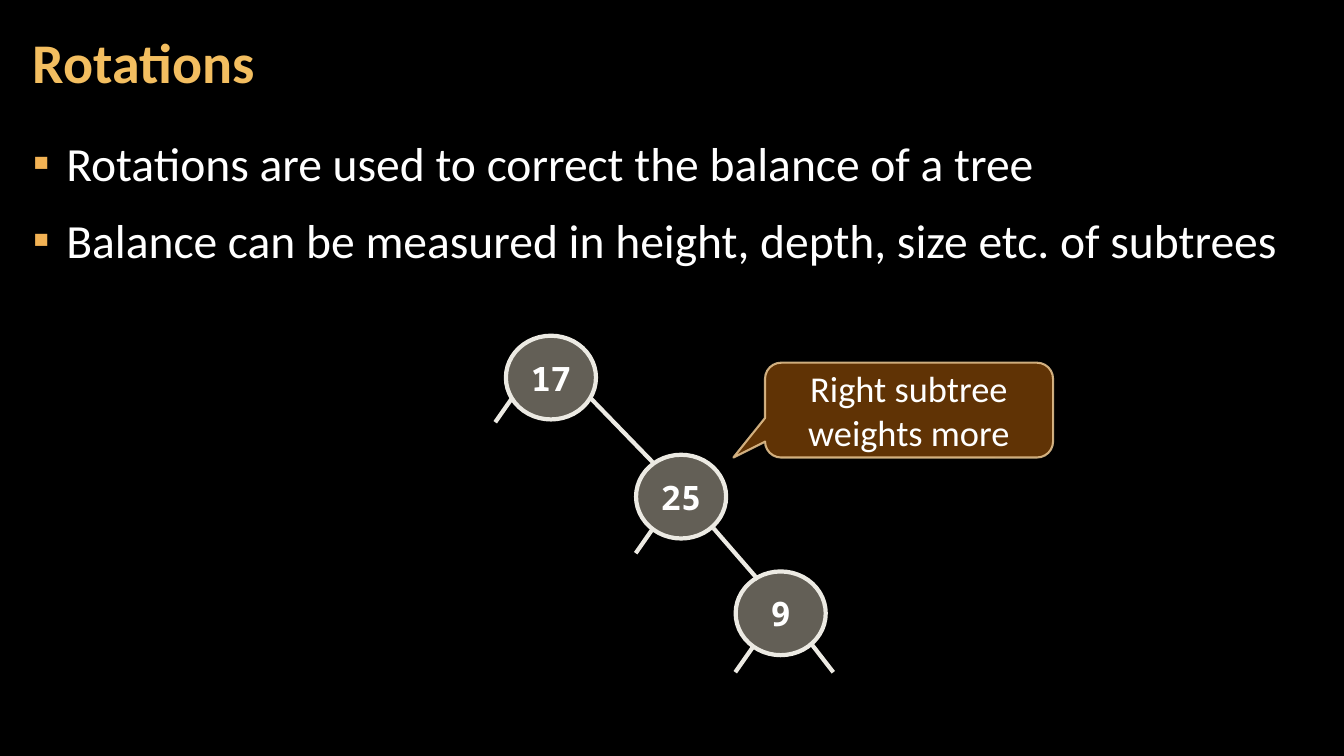
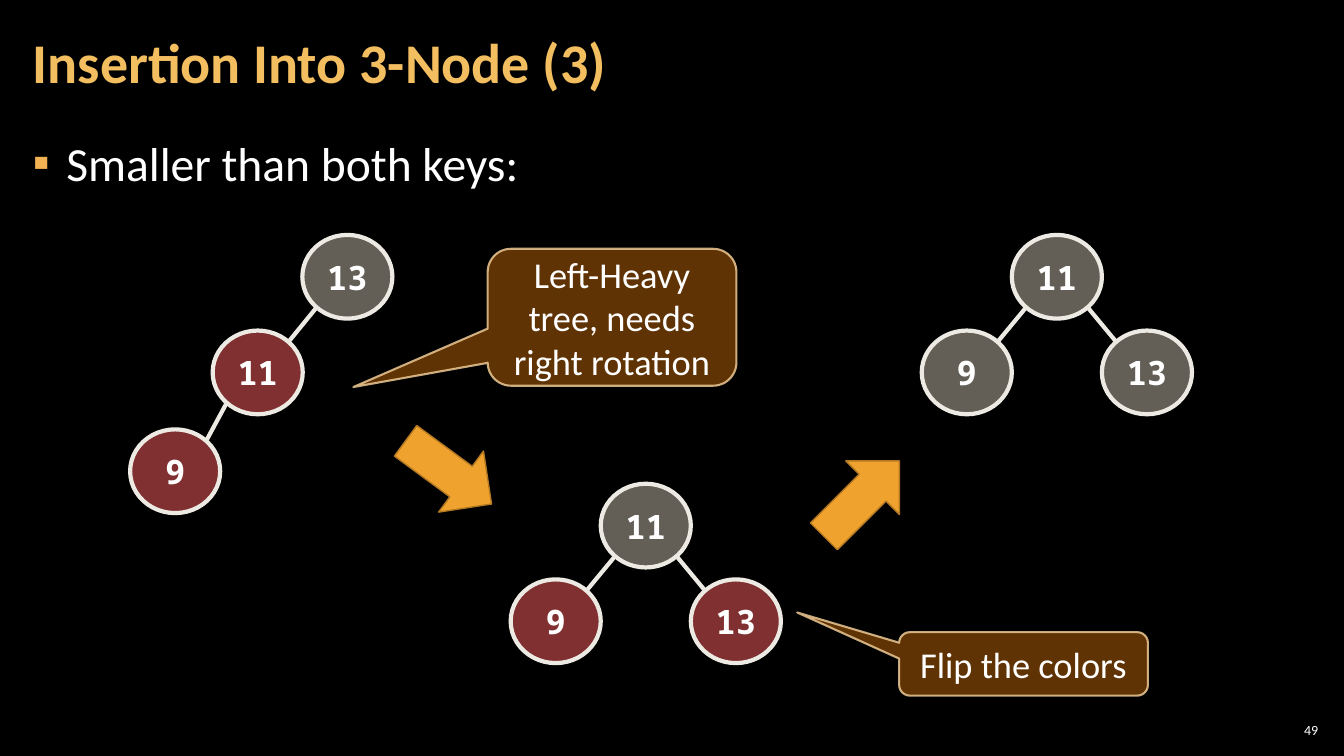
from dataclasses import dataclass

from lxml.etree import SubElement
from pptx import Presentation
from pptx.dml.color import RGBColor
from pptx.enum.shapes import MSO_CONNECTOR as Connector, MSO_SHAPE as Preset
from pptx.enum.text import MSO_ANCHOR as Anchor, MSO_AUTO_SIZE as AutoSize, PP_ALIGN as Align
from pptx.oxml.ns import qn
from pptx.util import Cm, Pt


@dataclass(frozen=True)
class Theme:
    """Colours, fonts, type sizes and shared measures in centimetres."""

    background: str = "000000"
    text: str = "FFFFFF"
    title: str = "F3BE60"
    bullet: str = "F2B254"
    black_node: str = "C7BFAC"
    red_node: str = "FF6161"
    edge: str = "ECEAE3"
    callout: str = "663606"
    callout_line: str = "F8D49E"
    arrow: str = "F0A22E"
    arrow_line: str = "B27822"
    font: str = "Calibri"
    node_font: str = "Noto Sans Mono"
    title_size: int = 40
    body_size: int = 34
    callout_size: int = 26
    node_size: int = 24
    number_size: int = 10
    node_width: float = 2.27
    node_height: float = 2.11
    child_drop: float = 2.41
    title_box: tuple = (0.53, 0.1, 26.59, 3.07)
    body_box: tuple = (0.53, 3.2, 32.79, 15.47)
    number_box: tuple = (32.13, 18.14, 1.19, 0.53)


THEME = Theme()


def lengths(*values):
    """Convert centimetres to slide lengths."""
    return [Cm(value) for value in values]


def set_alpha(element, percent):
    """Make the first colour inside an element partly transparent."""
    color = next(element.iter(qn("a:srgbClr")))
    SubElement(color, qn("a:alpha"), val=str(percent * 1000))


def write_text(paragraph, text, size, color=THEME.text, font=THEME.font,
               bold=False, align=Align.CENTER):
    """Put formatted text into a paragraph."""
    paragraph.alignment = align
    run = paragraph.add_run()
    run.text = text
    run.font.name = font
    run.font.size = Pt(size)
    run.font.bold = bold
    run.font.color.rgb = RGBColor.from_string(color)


def set_frame(frame, horizontal, vertical, anchor, wrap=True):
    """Set the margins, anchor and wrapping of a text frame."""
    frame.margin_left = frame.margin_right = Cm(horizontal)
    frame.margin_top = frame.margin_bottom = Cm(vertical)
    frame.vertical_anchor = anchor
    frame.word_wrap = wrap
    frame.auto_size = AutoSize.NONE


def set_bullet(paragraph):
    """Give a paragraph a hanging square bullet."""
    properties = paragraph._p.get_or_add_pPr()
    properties.set("marL", str(Cm(0.84)))
    properties.set("indent", str(-Cm(0.84)))
    color = SubElement(properties, qn("a:buClr"))
    SubElement(color, qn("a:srgbClr"), val=THEME.bullet)
    SubElement(properties, qn("a:buFont"), typeface=THEME.font)
    SubElement(properties, qn("a:buChar"), char="▪")


def prepare_layout(presentation):
    """Set the shared background and placeholder places; return the layout."""
    fill = presentation.slide_master.background.fill
    fill.solid()
    fill.fore_color.rgb = RGBColor.from_string(THEME.background)
    layout = presentation.slide_layouts[1]
    for placeholder, box in zip(layout.placeholders, (THEME.title_box, THEME.body_box)):
        (placeholder.left, placeholder.top,
         placeholder.width, placeholder.height) = lengths(*box)
    return layout


def add_slide(presentation, layout, title, bullets):
    """Add a slide with a title and a bullet list."""
    slide = presentation.slides.add_slide(layout)
    frame = slide.shapes.title.text_frame
    set_frame(frame, 0.3, 0.1, Anchor.MIDDLE)
    paragraph = frame.paragraphs[0]
    paragraph.line_spacing = 0.9
    write_text(paragraph, title, THEME.title_size, THEME.title, bold=True, align=Align.LEFT)
    frame = slide.placeholders[1].text_frame
    set_frame(frame, 0.3, 0.1, Anchor.TOP)
    for index, text in enumerate(bullets):
        paragraph = frame.add_paragraph() if index else frame.paragraphs[0]
        paragraph.line_spacing = 1.05
        paragraph.space_before = paragraph.space_after = Pt(6)
        set_bullet(paragraph)
        write_text(paragraph, text, THEME.body_size, align=Align.LEFT)
    return slide


def add_filled_shape(shapes, preset, box, fill, line, line_width):
    """Add a preset shape with a flat fill and outline."""
    shape = shapes.add_shape(preset, *lengths(*box))
    shape.shadow.inherit = False
    shape.fill.solid()
    shape.fill.fore_color.rgb = RGBColor.from_string(fill)
    shape.line.color.rgb = RGBColor.from_string(line)
    shape.line.width = Pt(line_width)
    return shape


def add_node(shapes, key, left, top, color=THEME.black_node):
    """Add a tree node showing its key."""
    box = (left, top, THEME.node_width, THEME.node_height)
    shape = add_filled_shape(shapes, Preset.OVAL, box, color, THEME.edge, 3)
    set_alpha(shape.element.spPr, 50)
    set_frame(shape.text_frame, 0.25, 0.13, Anchor.MIDDLE, wrap=False)
    write_text(shape.text_frame.paragraphs[0], key, THEME.node_size,
               font=THEME.node_font, bold=True)


def add_edge(shapes, start, end):
    """Add a straight tree edge between two points."""
    connector = shapes.add_connector(Connector.STRAIGHT, *lengths(*start, *end))
    connector.line.color.rgb = RGBColor.from_string(THEME.edge)
    connector.line.width = Pt(3)
    SubElement(connector.element.spPr, qn("a:effectLst"))


def add_child_edge(shapes, parent, child):
    """Join the lower rim of a parent to the upper rim of its child."""
    side = 1 if child[0] > parent[0] else -1
    reach_x, reach_y = side * 0.8, 0.8
    middle_x, middle_y = THEME.node_width / 2, THEME.node_height / 2
    add_edge(shapes,
             (parent[0] + middle_x + reach_x, parent[1] + middle_y + reach_y),
             (child[0] + middle_x - reach_x, child[1] + middle_y - reach_y))


def add_balanced_tree(shapes, left, top, child_color):
    """Add a root with one child on each side."""
    child_top = top + THEME.child_drop
    for key, side in (("9", -1), ("13", 1)):
        child = (left + side * THEME.node_width, child_top)
        add_child_edge(shapes, (left, top), child)
        add_node(shapes, key, *child, child_color)
    add_node(shapes, "11", left, top)


def add_left_heavy_tree(shapes):
    """Add a chain of nodes that leans to the left."""
    chain = (("13", (7.62, 5.92), THEME.black_node),
             ("11", (5.36, 8.33), THEME.red_node),
             ("9", (3.28, 10.82), THEME.red_node))
    for upper, lower in zip(chain, chain[1:]):
        add_child_edge(shapes, upper[1], lower[1])
    for key, place, color in chain:
        add_node(shapes, key, *place, color)


def add_right_heavy_tree(shapes):
    """Add a grouped chain that leans to the right, with open branches."""
    group = shapes.add_group_shape().shapes
    edges = (((14.88, 10.03), (16.48, 11.68)), ((17.98, 13.31), (19.1, 14.6)),
             ((20.45, 16.23), (21, 16.94)))
    for start, end in edges:
        add_edge(group, start, end)
    for left, top in ((12.92, 10.01), (16.46, 13.31), (18.97, 16.31)):
        add_edge(group, (left, top), (left - 0.44, top + 0.63))
    for key, left, top in (("17", 12.75, 8.46), ("25", 16.03, 11.46), ("9", 18.54, 14.4)):
        add_node(group, key, left, top)


def add_callout(shapes, text, box, tip):
    """Add a rounded callout whose tip is given relative to its size."""
    shape = add_filled_shape(shapes, Preset.ROUNDED_RECTANGULAR_CALLOUT, box,
                             THEME.callout, THEME.callout_line, 1.5)
    for index, value in enumerate((*tip, 0.17)):
        shape.adjustments[index] = value
    properties = shape.element.spPr
    set_alpha(properties, 95)
    set_alpha(properties.find(qn("a:ln")), 80)
    shadow = SubElement(properties.find(qn("a:effectLst")), qn("a:outerShdw"),
                        blurRad=str(Pt(5)), dist="0", dir="0")
    SubElement(shadow, qn("a:srgbClr"), val=THEME.background)
    set_alpha(shadow, 40)
    set_frame(shape.text_frame, 0.25, 0.13, Anchor.MIDDLE)
    write_text(shape.text_frame.paragraphs[0], text, THEME.callout_size)


def add_arrow(shapes, left, top, rotation):
    """Add a block arrow that leads to the next tree."""
    shape = add_filled_shape(shapes, Preset.RIGHT_ARROW, (left, top, 2.69, 1.91),
                             THEME.arrow, THEME.arrow_line, 1)
    shape.rotation = rotation


def add_slide_number(shapes, number):
    """Add the slide number in the lower right corner."""
    frame = shapes.add_textbox(*lengths(*THEME.number_box)).text_frame
    set_frame(frame, 0.1, 0.1, Anchor.MIDDLE)
    write_text(frame.paragraphs[0], number, THEME.number_size, align=Align.RIGHT)


def build_rotations(presentation, layout):
    """Build the slide on rotations."""
    shapes = add_slide(presentation, layout, "Rotations", (
        "Rotations are used to correct the balance of a tree",
        "Balance can be measured in height, depth, size etc. of subtrees",
    )).shapes
    add_right_heavy_tree(shapes)
    add_callout(shapes, "Right subtree weights more",
                (19.28, 9.14, 7.26, 2.39), (-0.61, 0.5))


def build_insertion(presentation, layout):
    """Build the slide on inserting the smallest key."""
    shapes = add_slide(presentation, layout, "Insertion Into 3-Node (3)",
                       ("Smaller than both keys:",)).shapes
    add_left_heavy_tree(shapes)
    add_balanced_tree(shapes, 15.14, 12.19, THEME.red_node)
    add_balanced_tree(shapes, 25.5, 5.92, THEME.black_node)
    add_arrow(shapes, 9.96, 10.95, 36.3)
    add_arrow(shapes, 20.37, 11.61, 315)
    add_callout(shapes, "Left-Heavy tree, needs right rotation",
                (12.29, 6.27, 6.27, 3.45), (-1.04, 0.51))
    add_callout(shapes, "Flip the colors", (22.66, 15.93, 6.27, 1.6), (-0.91, -0.81))
    add_slide_number(shapes, "49")


def main():
    """Build and save the presentation."""
    presentation = Presentation()
    presentation.slide_width, presentation.slide_height = lengths(33.87, 19.05)
    layout = prepare_layout(presentation)
    build_rotations(presentation, layout)
    build_insertion(presentation, layout)
    presentation.save("out.pptx")


if __name__ == "__main__":
    main()
